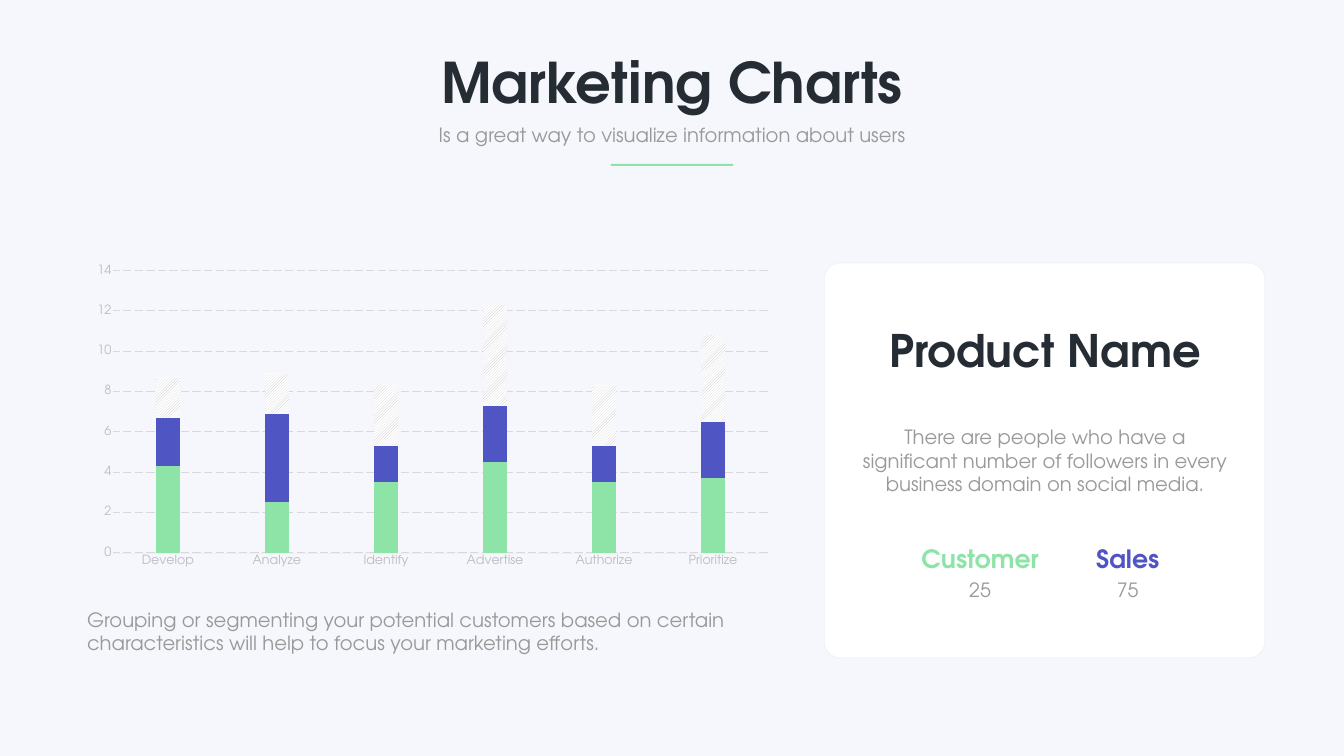
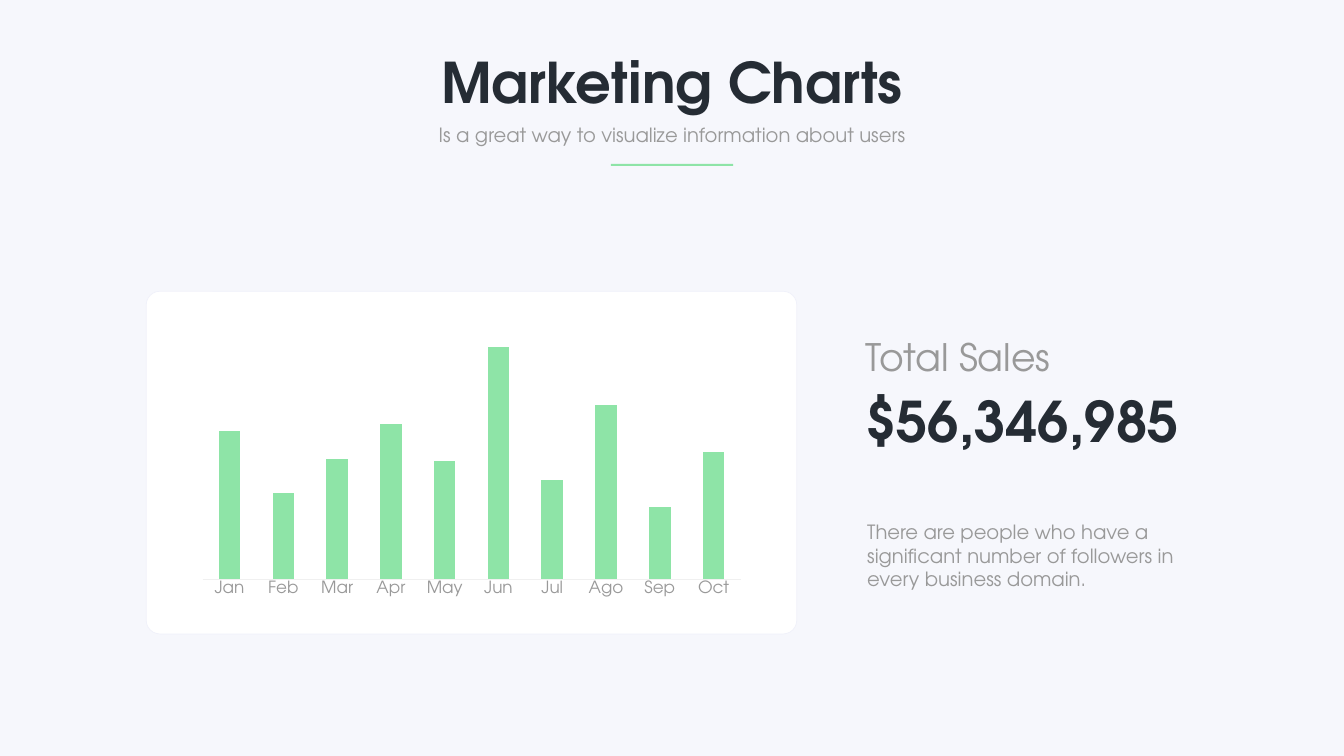
from dataclasses import dataclass

from lxml import etree
from pptx import Presentation
from pptx import util as u
from pptx.chart import data as chart_data
from pptx.dml import color
from pptx.enum import chart as ch
from pptx.enum import dml, shapes, text
from pptx.oxml import ns


@dataclass(frozen=True)
class Theme:
    """Colours, typeface and type sizes shared by the slides."""

    face: str = "TeX Gyre Adventor"
    page: str = "F6F7FC"
    card: str = "FFFFFF"
    card_edge: str = "F0F1FA"
    ink: str = "252C34"
    grey: str = "999999"
    pale: str = "BDBDBD"
    hatch: str = "BFBFBF"
    grid: str = "D9D9D9"
    axis: str = "F0F0F0"
    green: str = "8EE4A7"
    indigo: str = "4F56C3"
    title: float = 80
    product: float = 64
    heading: float = 54
    label: float = 36
    body: float = 28
    month: float = 24
    tick: float = 18


THEME = Theme()
PAGE_W, PAGE_H = 67.74, 38.1
SNUG = dict.fromkeys(("margin_left", "margin_top", "margin_right", "margin_bottom"), u.Cm(0.15))
SNUG["vertical_anchor"] = text.MSO_ANCHOR.MIDDLE


def rgb(value):
    """Turn a hex string into a colour."""
    return color.RGBColor.from_string(value)


def apply(target, values):
    """Set every attribute named in a dict of format values."""
    for name, value in values.items():
        setattr(target, name, value)


def style_font(font, size, tint, bold=False):
    """Give a font the theme's face with a size and colour."""
    apply(font, {"name": THEME.face, "size": u.Pt(size), "bold": bold})
    font.color.rgb = rgb(tint)


def paint(fill, tint):
    """Fill with one solid colour."""
    fill.solid()
    fill.fore_color.rgb = rgb(tint)


def add_text(slide, wording, place, size, tint, bold=False, centred=False, frame=None, leading=None):
    """Add one paragraph of wrapped text."""
    holder = slide.shapes.add_textbox(*map(u.Cm, place)).text_frame
    apply(holder, {"word_wrap": True, "auto_size": text.MSO_AUTO_SIZE.SHAPE_TO_FIT_TEXT, **(frame or {})})
    paragraph = holder.paragraphs[0]
    paragraph.alignment = text.PP_ALIGN.CENTER if centred else text.PP_ALIGN.LEFT
    if leading:
        paragraph.line_spacing = u.Pt(leading)
    run = paragraph.add_run()
    run.text = wording
    style_font(run.font, size, tint, bold)


def centred_place(middle, top, width, height):
    """Place a box of a given width around a vertical middle line."""
    return middle - width / 2, top, width, height


def add_header(slide):
    """Add the title, subtitle and green rule."""
    middle = PAGE_W / 2
    add_text(slide, "Marketing Charts", centred_place(middle, 2.29, 32.79, 3.68),
             THEME.title, THEME.ink, bold=True, centred=True)
    add_text(slide, "Is a great way to visualize information about users",
             centred_place(middle, 6.05, 24.28, 1.45), THEME.body, THEME.grey, centred=True)
    rule = slide.shapes.add_shape(shapes.MSO_SHAPE.RECTANGLE,
                                  *map(u.Cm, centred_place(middle, 8.26, 6.17, 0.1)))
    rule.shadow.inherit = False
    paint(rule.fill, THEME.green)
    rule.line.fill.background()


def add_card(slide, place):
    """Add a white rounded card."""
    card = slide.shapes.add_shape(shapes.MSO_SHAPE.ROUNDED_RECTANGLE, *map(u.Cm, place))
    card.shadow.inherit = False
    card.adjustments[0] = 0.04
    paint(card.fill, THEME.card)
    card.line.color.rgb = rgb(THEME.card_edge)
    card.line.width = u.Pt(1)


def set_plot_area(chart, area):
    """Fix the inner plot area as fractions of the chart."""
    plot_area = chart.element.xpath("c:chart/c:plotArea")[0]
    for old in plot_area.findall(ns.qn("c:layout")):
        plot_area.remove(old)
    layout = etree.Element(ns.qn("c:layout"))
    manual = etree.SubElement(layout, ns.qn("c:manualLayout"))
    settings = [("layoutTarget", "inner"), ("xMode", "edge"), ("yMode", "edge"), *zip("xywh", area)]
    for tag, value in settings:
        etree.SubElement(manual, ns.qn(f"c:{tag}")).set("val", str(value))
    plot_area.insert(0, layout)


def add_columns(slide, place, categories, series_values, area, scale, gap, label_size, label_tint):
    """Add a stacked column chart and return it."""
    table = chart_data.CategoryChartData()
    table.categories = categories
    for number, values in enumerate(series_values, 1):
        table.add_series(f"Series {number}", values)
    chart = slide.shapes.add_chart(ch.XL_CHART_TYPE.COLUMN_STACKED, *map(u.Cm, place), table).chart
    apply(chart, {"has_legend": False, "has_title": False})
    style_font(chart.font, THEME.tick, THEME.grey)
    plot = chart.plots[0]
    apply(plot, {"gap_width": gap, "overlap": 100, "vary_by_categories": False})
    for series, tint in zip(plot.series, (THEME.green, THEME.indigo, None)):
        fill = series.format.fill
        if tint:
            paint(fill, tint)
        else:
            fill.patterned()
            fill.pattern = dml.MSO_PATTERN.WIDE_UPWARD_DIAGONAL
            fill.fore_color.rgb = rgb(THEME.hatch)
            fill.back_color.rgb = rgb(THEME.card)
    for axis in (chart.category_axis, chart.value_axis):
        apply(axis, {"major_tick_mark": ch.XL_TICK_MARK.NONE, "minor_tick_mark": ch.XL_TICK_MARK.NONE})
        style_font(axis.tick_labels.font, label_size, label_tint)
    apply(chart.value_axis, {"minimum_scale": 0, **scale})
    chart.value_axis.format.line.fill.background()
    base_line = chart.category_axis.format.line
    base_line.color.rgb = rgb(THEME.axis)
    base_line.width = u.Pt(0.75)
    set_plot_area(chart, area)
    return chart


def add_metric(slide, name, value, tint, left, width):
    """Add a coloured label with its number below."""
    add_text(slide, value, (left, 28.75, width, 1.57), THEME.body, THEME.grey, centred=True, leading=40.8)
    add_text(slide, name, (left, 27.33, width, 1.73), THEME.label, tint,
             bold=True, centred=True, leading=40.8)


def build_product_slide(slide):
    """Show the stages chart beside the product card."""
    add_header(slide)
    stages = add_columns(
        slide, (3.94, 13, 35.46, 15.98),
        ["Develop", "Analyze", "Identify", "Advertise", "Authorize", "Prioritize"],
        [(4.3, 2.5, 3.5, 4.5, 3.5, 3.7), (2.4, 4.4, 1.8, 2.8, 1.8, 2.8), (2, 2, 3, 5, 3, 4.3)],
        (0.05, 0.04, 0.93, 0.89), {"maximum_scale": 14, "major_unit": 2}, 350, THEME.tick, THEME.pale)
    grid_line = stages.value_axis.major_gridlines.format.line
    grid_line.color.rgb = rgb(THEME.grid)
    apply(grid_line, {"width": u.Pt(1.5), "dash_style": dml.MSO_LINE.LONG_DASH})
    add_card(slide, (41.55, 13.26, 22.2, 19.89))
    card_middle = 52.67
    add_text(slide, "There are people who have a significant number of followers in every "
             "business domain on social media.", centred_place(card_middle, 21.31, 19.43, 3.84),
             THEME.body, THEME.grey, centred=True)
    add_text(slide, "Product Name", centred_place(card_middle, 16.1, 17.55, 3.02),
             THEME.product, THEME.ink, bold=True, centred=True, frame=SNUG)
    add_metric(slide, "Customer", "25", THEME.green, 45.9, 6.99)
    add_metric(slide, "Sales", "75", THEME.indigo, 54.25, 5.18)
    add_text(slide, "Grouping or segmenting your potential customers based on certain "
             "characteristics will help to focus your marketing efforts.",
             (4.14, 30.5, 35.26, 2.64), THEME.body, THEME.grey)


def build_sales_slide(slide):
    """Show monthly sales in a card beside their total."""
    add_header(slide)
    add_card(slide, (7.37, 14.68, 32.79, 17.27))
    add_columns(
        slide, (9.65, 14.86, 28.24, 15.42),
        ["Jan", "Feb", "Mar", "Apr", "May", "Jun", "Jul", "Ago", "Sep", "Oct"],
        [(64, 37, 52, 67, 51, 100, 43, 75, 31, 55)], (0.02, 0.02, 0.96, 0.91),
        {"maximum_scale": 120, "has_major_gridlines": False, "visible": False},
        150, THEME.month, THEME.grey)
    left, width = 43.46, 16.89
    add_text(slide, "Total Sales", (left, 16.69, 12.04, 2.59), THEME.heading, THEME.grey, frame=SNUG)
    add_text(slide, "$56,346,985", (left, 19.3, width, 3.71), THEME.title, THEME.ink,
             bold=True, frame=SNUG)
    add_text(slide, "There are people who have a significant number of followers in every "
             "business domain.", (left, 26.09, width, 3.84), THEME.body, THEME.grey)


def main():
    """Build and save the deck."""
    deck = Presentation()
    apply(deck, {"slide_width": u.Cm(PAGE_W), "slide_height": u.Cm(PAGE_H)})
    paint(deck.slide_master.background.fill, THEME.page)
    for build in (build_product_slide, build_sales_slide):
        build(deck.slides.add_slide(deck.slide_layouts[6]))
    deck.save("out.pptx")


if __name__ == "__main__":
    main()
